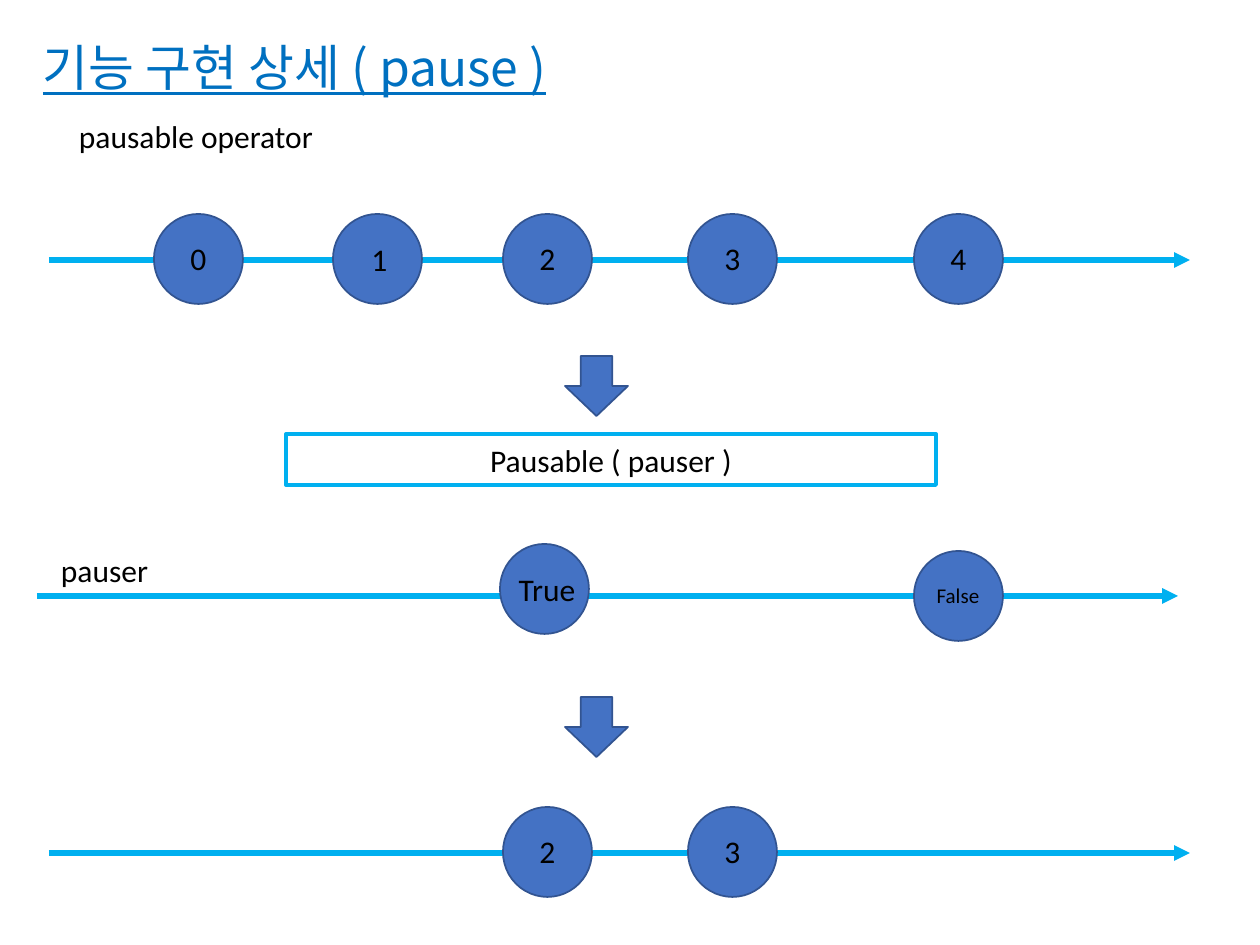
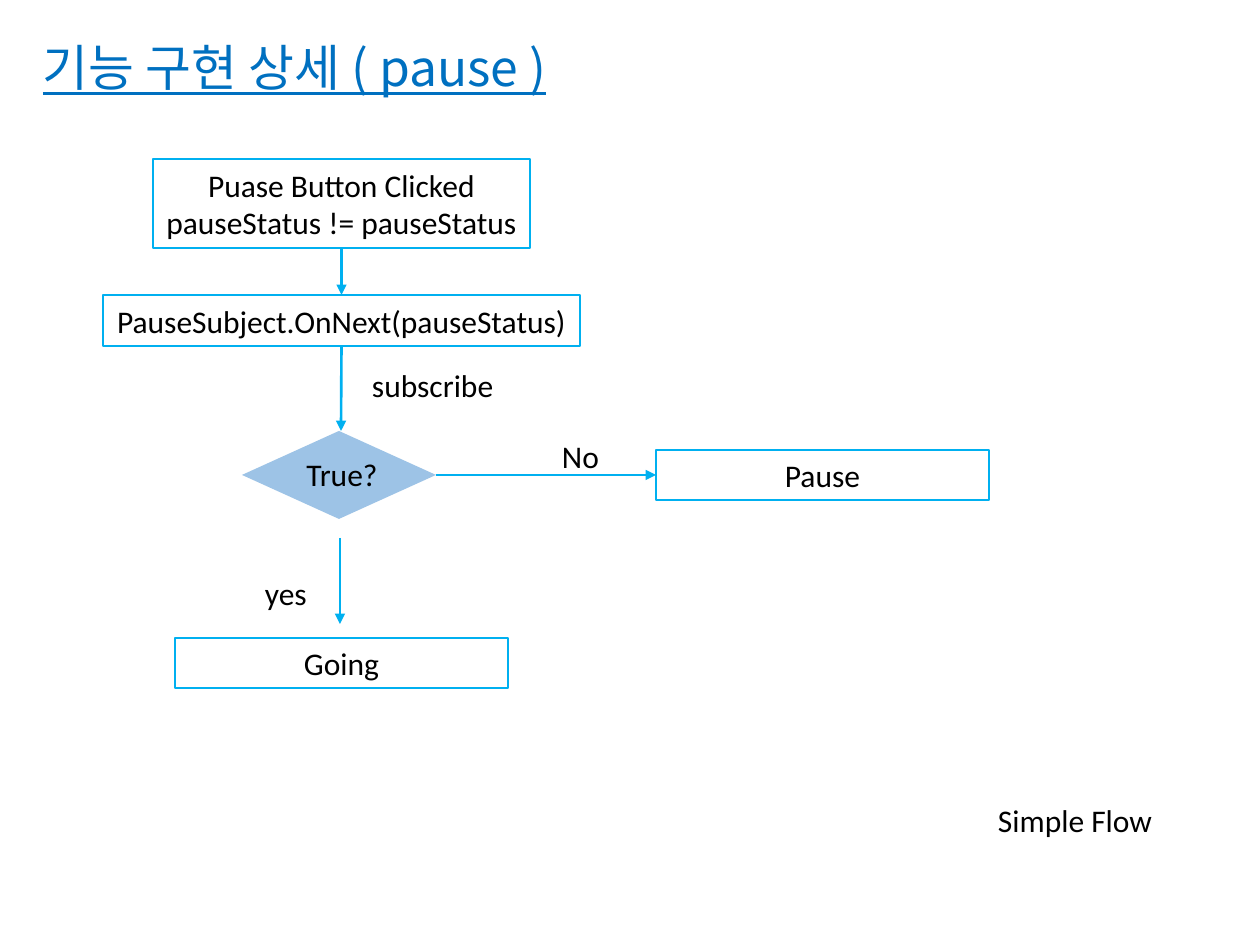
from lxml import etree
from pptx import Presentation
from pptx.dml.color import RGBColor
from pptx.enum.shapes import MSO_CONNECTOR, MSO_SHAPE
from pptx.enum.text import MSO_ANCHOR, PP_ALIGN
from pptx.oxml.ns import qn
from pptx.util import Pt

SCALE = 914400 / 126
WIDE, HIGH = 1260, 945

WHITE = RGBColor(0xFF, 0xFF, 0xFF)
BLACK = RGBColor(0x00, 0x00, 0x00)
TITLE = RGBColor(0x00, 0x70, 0xC0)
CYAN = RGBColor(0x00, 0xB0, 0xF0)
BLUE = RGBColor(0x44, 0x72, 0xC4)
EDGE = RGBColor(0x32, 0x54, 0x91)
PALE = RGBColor(0x9D, 0xC3, 0xE6)

LATIN = "Calibri"
HANGUL = "Noto Sans CJK KR"

LEFT, CENTER = PP_ALIGN.LEFT, PP_ALIGN.CENTER
TOP, MIDDLE, BOTTOM = MSO_ANCHOR.TOP, MSO_ANCHOR.MIDDLE, MSO_ANCHOR.BOTTOM
RECT, OVAL = MSO_SHAPE.RECTANGLE, MSO_SHAPE.OVAL
DIAMOND, DOWN = MSO_SHAPE.DIAMOND, MSO_SHAPE.DOWN_ARROW
STRAIGHT = MSO_CONNECTOR.STRAIGHT
SIDE_TOP, SIDE_LEFT, SIDE_BOTTOM, SIDE_RIGHT = range(4)


def px(*values):
    return [round(value * SCALE) for value in values]


def write(frame, text, size=18, font=LATIN, color=BLACK, align=LEFT,
          anchor=TOP, underline=None, spacing=None, inset=(13, 6)):
    """Fill a text frame, one paragraph for each line of text."""
    frame.word_wrap = True
    frame.vertical_anchor = anchor
    across, down = px(*inset)
    frame.margin_left = frame.margin_right = across
    frame.margin_top = frame.margin_bottom = down
    for index, line in enumerate(text.split("\n")):
        para = frame.add_paragraph() if index else frame.paragraphs[0]
        para.alignment = align
        para.line_spacing = spacing
        run = para.add_run()
        run.text = line
        run.font.size = Pt(size)
        run.font.name = font
        run.font.underline = underline
        run.font.color.rgb = color
        east = etree.SubElement(run.font._element, qn("a:ea"))
        east.set("typeface", HANGUL)


def label(slide, box, text, **style):
    write(slide.shapes.add_textbox(*px(*box)).text_frame, text, **style)


def draw(slide, kind, box, fill=None, edge=None, width=1):
    shape = slide.shapes.add_shape(kind, *px(*box))
    shape.shadow.inherit = False
    if fill is None:
        shape.fill.background()
    else:
        shape.fill.solid()
        shape.fill.fore_color.rgb = fill
    if edge is None:
        shape.line.fill.background()
    else:
        shape.line.color.rgb = edge
        shape.line.width = Pt(width)
    return shape


def panel(slide, box, text, width=1.5):
    shape = draw(slide, RECT, box, edge=CYAN, width=width)
    write(shape.text_frame, text, align=CENTER, anchor=MIDDLE)
    return shape


def arrow(slide, start, end, width=1.5, source=None, target=None):
    """Draw an arrow; source and target are (shape, side) pairs to join."""
    line = slide.shapes.add_connector(STRAIGHT, *px(*start, *end))
    line.line.color.rgb = CYAN
    line.line.width = Pt(width)
    if source:
        line.begin_connect(*source)
    if target:
        line.end_connect(*target)
    etree.SubElement(line.line._get_or_add_ln(), qn("a:tailEnd"), type="triangle")
    etree.SubElement(line._element.spPr, qn("a:effectLst"))


def marble(slide, x, y, text, inner=(13, 19, 63, 51), size=18):
    """Draw a circle at x, y with its label in the inner box."""
    draw(slide, OVAL, (x, y, 89, 90), BLUE, EDGE)
    left, top, wide, high = inner
    label(slide, (x + left, y + top, wide, high), text, size=size, align=CENTER)


def lane(slide, x, y, marbles):
    """Draw a time line from x, y; marbles are (dx, dy, text, format)."""
    arrow(slide, (x, y), (x + 1141, y), width=3)
    for dx, dy, text, style in marbles:
        marble(slide, x + dx, y - 46 + dy, text, **style)


def heading(slide):
    label(slide, (34, 21, 596, 81), "기능 구현 상세 ( pause )", size=28.5,
          font=HANGUL, color=TITLE, anchor=BOTTOM, underline=True,
          spacing=0.9, inset=(9, 5))


def stream(slide):
    heading(slide)
    label(slide, (66, 111, 499, 50), "pausable operator")
    two, three = (454, 0, "2", {}), (639, 0, "3", {})
    lane(slide, 49, 260, [
        (105, 0, "0", {}),
        (284, 0, "1", {"inner": (15, 20, 63, 51)}),
        two, three,
        (865, 0, "4", {}),
    ])
    lane(slide, 37, 596, [
        (463, -6, "True", {"inner": (3, 20, 88, 50)}),
        (877, 1, "False", {"inner": (6, 26, 76, 38), "size": 12}),
    ])
    lane(slide, 49, 853, [two, three])
    panel(slide, (286, 434, 650, 51), "Pausable ( pauser )", width=2.25)
    for y in (356, 697):
        draw(slide, DOWN, (565, y, 63, 60), BLUE, EDGE)
    label(slide, (48, 545, 329, 50), "pauser")


def flow(slide):
    heading(slide)
    click = panel(slide, (153, 159, 377, 89),
                  "Puase Button Clicked\npauseStatus != pauseStatus")
    emit = panel(slide, (103, 295, 477, 51), "PauseSubject.OnNext(pauseStatus)")
    pause = panel(slide, (656, 450, 333, 50), "Pause")
    panel(slide, (175, 638, 333, 50), "Going")
    test = draw(slide, DIAMOND, (242, 431, 194, 88), PALE)
    label(slide, (261, 449, 162, 50), "True?", align=CENTER)

    arrow(slide, (341, 248), (341, 295),
          source=(click, SIDE_BOTTOM), target=(emit, SIDE_TOP))
    arrow(slide, (341, 346), (341, 431), source=(emit, SIDE_BOTTOM))
    arrow(slide, (436, 475), (656, 475),
          source=(test, SIDE_RIGHT), target=(pause, SIDE_LEFT))
    arrow(slide, (340, 538), (340, 624))

    for x, y, wide, text in (
        (359, 360, 304, "subscribe"),
        (252, 568, 107, "yes"),
        (549, 431, 107, "No"),
        (985, 795, 270, "Simple Flow"),
    ):
        label(slide, (x, y, wide, 50), text)


def main():
    deck = Presentation()
    deck.slide_width, deck.slide_height = px(WIDE, HIGH)
    for build in (stream, flow):
        slide = deck.slides.add_slide(deck.slide_layouts[6])
        slide.background.fill.solid()
        slide.background.fill.fore_color.rgb = WHITE
        build(slide)
    deck.save("out.pptx")


if __name__ == "__main__":
    main()
